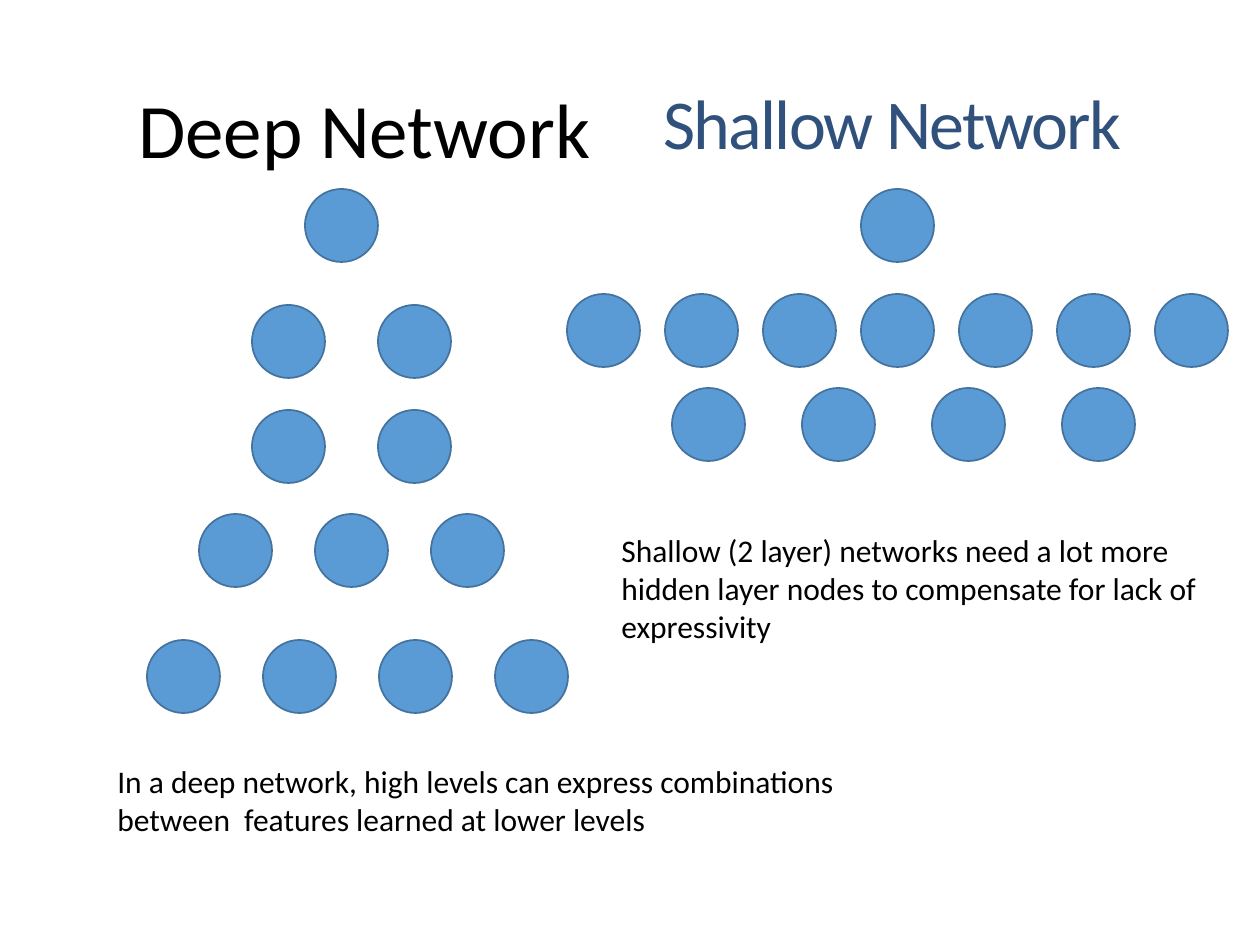
import pptx
import pptx.util
import pptx.dml.color
import pptx.enum.shapes
import pptx.enum.text

WIDE, HIGH = 1260, 945  # slide size in px
SCALE = 914400 / 126    # EMU per px
NODE = 73               # node diameter in px
FONT = "Calibri"
COLORS = {"ink": "000000", "navy": "31517D", "node": "5B9BD5", "edge": "43739E"}

# Layers of each network: left, top, node count, step
LAYERS = {
    "deep": [
        (305, 189, 1, 0),
        (252, 305, 2, 126),
        (252, 410, 2, 126),
        (199, 514, 3, 116),
        (147, 640, 4, 116),
    ],
    "shallow": [
        (861, 189, 1, 0),
        (567, 294, 7, 98),
        (672, 388, 4, 130),
    ],
}

# Text, box in px, format
TEXTS = [
    ("Deep Network", (126, 71, 494, 126),
     dict(size=44, anchor="MIDDLE", lead=0.9)),
    ("Shallow Network", (651, 73, 577, 126),
     dict(size=40, color="navy", track=-1)),
    ("Shallow (2 layer) networks need a lot more hidden layer nodes "
     "to compensate for lack of expressivity", (609, 525, 651, 127), {}),
    ("In a deep network, high levels can express combinations "
     "between  features learned at lower levels", (105, 756, 756, 127), {}),
]


def emu(*px):
    return [round(n * SCALE) for n in px]


def rgb(name):
    return pptx.dml.color.RGBColor.from_string(COLORS[name])


def write(slide, text, box, size=18, color="ink", anchor="TOP", lead=None, track=0):
    frame = slide.shapes.add_textbox(*emu(*box)).text_frame
    frame.word_wrap = True
    frame.vertical_anchor = getattr(pptx.enum.text.MSO_ANCHOR, anchor)
    para = frame.paragraphs[0]
    para.line_spacing = lead
    run = para.add_run()
    run.text = text
    run.font.name = FONT
    run.font.size = pptx.util.Pt(size)
    run.font.color.rgb = rgb(color)
    if track:
        run.font._element.set("spc", str(track * 100))


def node(slide, left, top):
    oval = slide.shapes.add_shape(
        pptx.enum.shapes.MSO_SHAPE.OVAL, *emu(left, top, NODE, NODE))
    oval.shadow.inherit = False
    oval.fill.solid()
    oval.fill.fore_color.rgb = rgb("node")
    oval.line.color.rgb = rgb("edge")
    oval.line.width = pptx.util.Pt(1)


def main():
    deck = pptx.Presentation()
    deck.slide_width, deck.slide_height = emu(WIDE, HIGH)
    slide = deck.slides.add_slide(deck.slide_layouts[6])

    # Network nodes, layer by layer
    for layers in LAYERS.values():
        for left, top, count, step in layers:
            for i in range(count):
                node(slide, left + i * step, top)

    # Headings and remarks
    for text, box, style in TEXTS:
        write(slide, text, box, **style)

    deck.save("out.pptx")


if __name__ == "__main__":
    main()
